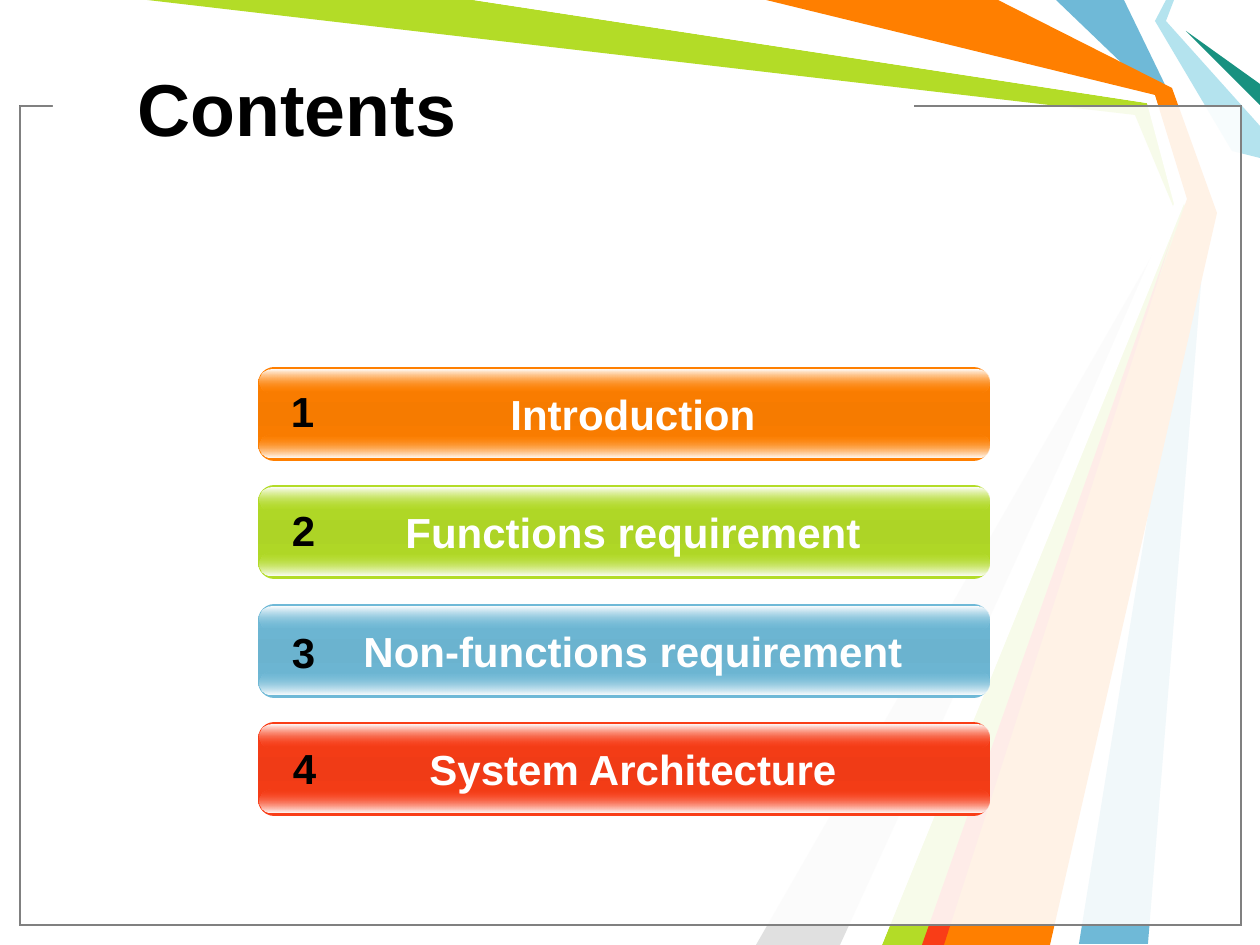
import dataclasses

import pptx
import pptx.dml.color
import pptx.enum.shapes
import pptx.enum.text
import pptx.oxml
import pptx.oxml.ns
import pptx.util

PX = 914400 / 126
SHAPES = pptx.enum.shapes.MSO_SHAPE
ALIGN = pptx.enum.text.PP_ALIGN
ANCHOR = pptx.enum.text.MSO_ANCHOR
AUTO_SIZE = pptx.enum.text.MSO_AUTO_SIZE


@dataclasses.dataclass(frozen=True)
class Theme:
    font: str = "Arial"
    title_size: int = 42
    body_size: int = 24
    black: str = "000000"
    white: str = "FFFFFF"
    frame: str = "808080"
    grey: str = "E0E0E0"
    orange: str = "FF7F00"
    orange_dark: str = "F67B00"
    green: str = "B3DC27"
    green_dark: str = "ADD426"
    blue: str = "6FB9D7"
    blue_dark: str = "6BB3CF"
    red: str = "F93D17"
    red_dark: str = "F03B16"
    pale_blue: str = "B4E3EE"
    teal: str = "189180"


def emu(*lengths):
    return [round(length * PX) for length in lengths]


def rgb(color):
    return pptx.dml.color.RGBColor.from_string(color)


def set_alpha(color_element, percent):
    alpha = pptx.oxml.parse_xml(
        f'<a:alpha {pptx.oxml.ns.nsdecls("a")} val="{percent * 1000}"/>')
    color_element.append(alpha)


class ContentsSlide:
    def __init__(self, presentation, theme):
        self.theme = theme
        self.slide = presentation.slides.add_slide(presentation.slide_layouts[5])

    def ribbon(self, color, points):
        builder = self.slide.shapes.build_freeform(*points[0], scale=PX)
        builder.add_line_segments(points[1:], close=True)
        shape = builder.convert_to_shape()
        shape.shadow.inherit = False
        shape.fill.solid()
        shape.fill.fore_color.rgb = rgb(color)
        shape.line.fill.background()

    def panel(self, box, opacity=100, line_color=None):
        shape = self.slide.shapes.add_shape(SHAPES.RECTANGLE, *emu(*box))
        shape.shadow.inherit = False
        shape.fill.solid()
        shape.fill.fore_color.rgb = rgb(self.theme.white)
        if opacity < 100:
            set_alpha(shape._element.spPr.find(".//" + pptx.oxml.ns.qn("a:srgbClr")), opacity)
        if line_color:
            shape.line.color.rgb = rgb(line_color)
            shape.line.width = pptx.util.Pt(0.75)
        else:
            shape.line.fill.background()

    def gradient_pill(self, group, box, rounding, stops):
        shape = group.shapes.add_shape(SHAPES.ROUNDED_RECTANGLE, *emu(*box))
        shape.shadow.inherit = False
        shape.adjustments[0] = rounding
        shape.line.fill.background()
        shape.fill.gradient()
        shape.fill.gradient_angle = 270
        stop_list = shape._element.spPr.find(".//" + pptx.oxml.ns.qn("a:gsLst"))
        for stop in list(stop_list):
            stop_list.remove(stop)
        for position, color, opacity in stops:
            stop = pptx.oxml.parse_xml(
                f'<a:gs {pptx.oxml.ns.nsdecls("a")} pos="{position * 1000}">'
                f'<a:srgbClr val="{color}"/></a:gs>')
            if opacity < 100:
                set_alpha(stop[0], opacity)
            stop_list.append(stop)

    def glossy_bar(self, top, color, dark):
        group = self.slide.shapes.add_group_shape()
        white = self.theme.white
        self.gradient_pill(group, (258, top, 732, 94), 0.175,
                           [(0, color, 100), (50, dark, 100), (100, color, 100)])
        self.gradient_pill(group, (260, top + 68, 730, 23), 0.5,
                           [(0, color, 0), (100, white, 100)])
        self.gradient_pill(group, (260, top + 3, 730, 23), 0.5,
                           [(0, white, 100), (100, color, 0)])

    def fill_text(self, frame, text, size, color, alignment):
        paragraph = frame.paragraphs[0]
        paragraph.text = text
        paragraph.alignment = alignment
        formats = {"name": self.theme.font, "size": pptx.util.Pt(size), "bold": True}
        for name, value in formats.items():
            setattr(paragraph.runs[0].font, name, value)
        paragraph.runs[0].font.color.rgb = rgb(color)

    def label(self, box, text, color):
        frame = self.slide.shapes.add_textbox(*emu(*box)).text_frame
        frame.word_wrap = True
        self.fill_text(frame, text, self.theme.body_size, color, ALIGN.CENTER)

    def title(self, box, text):
        shape = self.slide.shapes.title
        for name, value in zip(("left", "top", "width", "height"), emu(*box)):
            setattr(shape, name, value)
        formats = {"vertical_anchor": ANCHOR.MIDDLE, "auto_size": AUTO_SIZE.NONE,
                   "word_wrap": True}
        for name, value in formats.items():
            setattr(shape.text_frame, name, value)
        self.fill_text(shape.text_frame, text, self.theme.title_size, self.theme.black,
                       ALIGN.LEFT)
        shape._element.getparent().append(shape._element)


def main():
    presentation = pptx.Presentation()
    presentation.slide_width, presentation.slide_height = emu(1260, 945)
    theme = Theme()
    contents = ContentsSlide(presentation, theme)

    ribbons = [
        (theme.blue, [(1124, 0), (1171, 97), (1207, 210), (1148, 944), (1079, 944),
                      (1197, 210), (1155, 95), (1056, 0)]),
        (theme.green, [(147, 0), (473, 0), (1152, 104), (1187, 213), (935, 945),
                       (882, 945), (1178, 218), (1135, 115)]),
        (theme.grey, [(840, 945), (1168, 228), (756, 945)]),
        (theme.white, [(473, 0), (1147, 103), (1174, 204), (851, 945), (882, 945),
                       (1186, 199), (1155, 95), (756, 0)]),
        (theme.pale_blue, [(1166, 0), (1155, 21), (1232, 151), (1260, 158), (1260, 126),
                           (1166, 21), (1174, 0)]),
        (theme.teal, [(1260, 105), (1186, 31), (1260, 84)]),
        (theme.orange, [(766, 0), (998, 0), (1172, 88), (1217, 213), (1050, 945),
                        (924, 945), (1187, 199), (1155, 95)]),
        (theme.red, [(922, 945), (1174, 231), (944, 945)]),
    ]
    for color, points in ribbons:
        contents.ribbon(color, points)

    for line_color in (theme.black, theme.frame):
        contents.panel((20, 106, 1221, 819), 69, line_color)
    contents.panel((53, 93, 861, 21))

    entries = [
        ("Introduction", theme.orange, theme.orange_dark, (276, 379)),
        ("Functions requirement", theme.green, theme.green_dark, (277, 498)),
        ("Non-functions requirement", theme.blue, theme.blue_dark, (277, 620)),
        ("System Architecture", theme.red, theme.red_dark, (278, 736)),
    ]
    for index, (text, color, dark, number_position) in enumerate(entries):
        top = 367 + index * 237 // 2
        contents.glossy_bar(top, color, dark)
        contents.label((323, top + 15, 620, 63), text, theme.white)
        contents.label((*number_position, 53, 63), str(index + 1), theme.black)

    contents.title((125, 28, 868, 158), "Contents")
    presentation.save("out.pptx")


if __name__ == "__main__":
    main()
